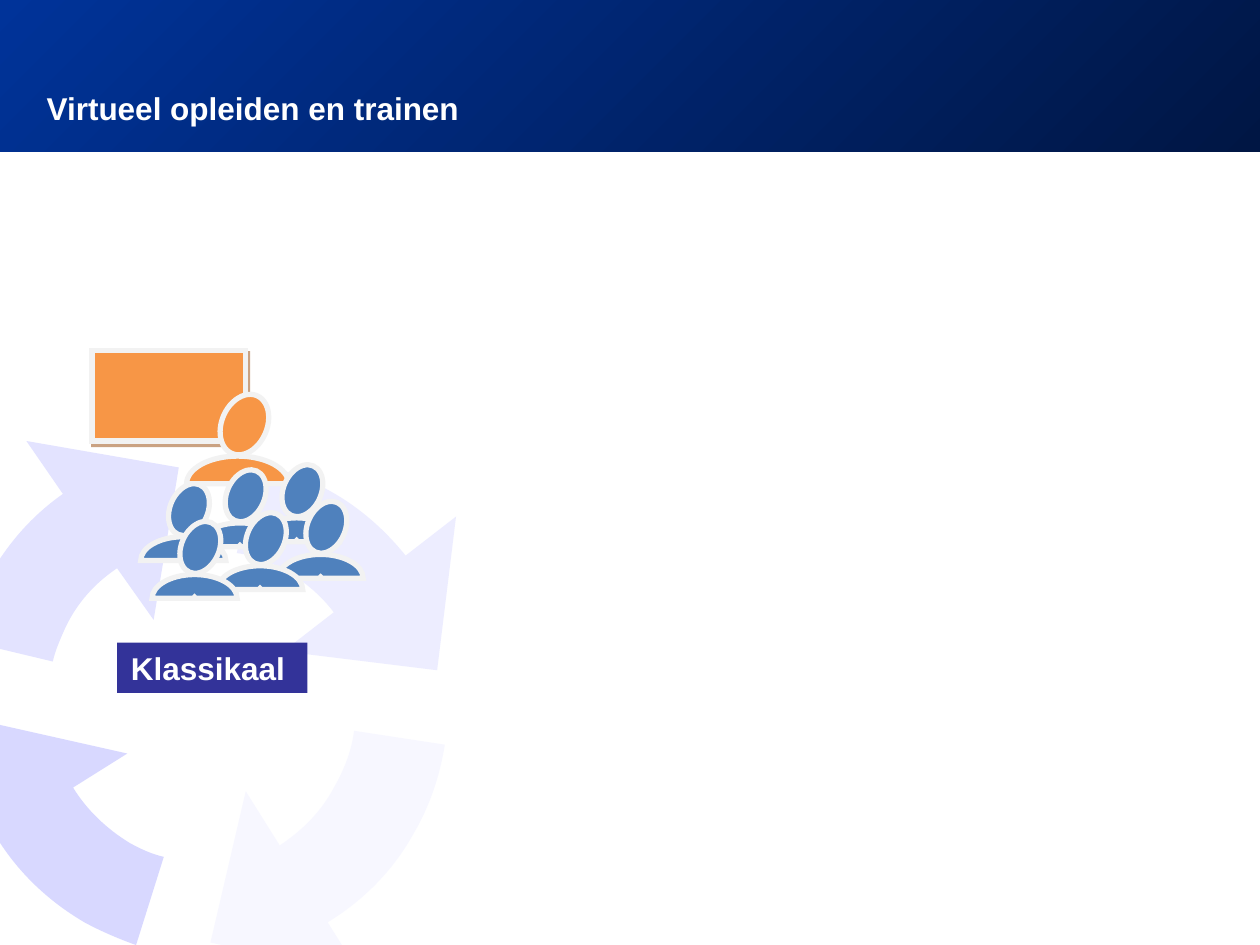
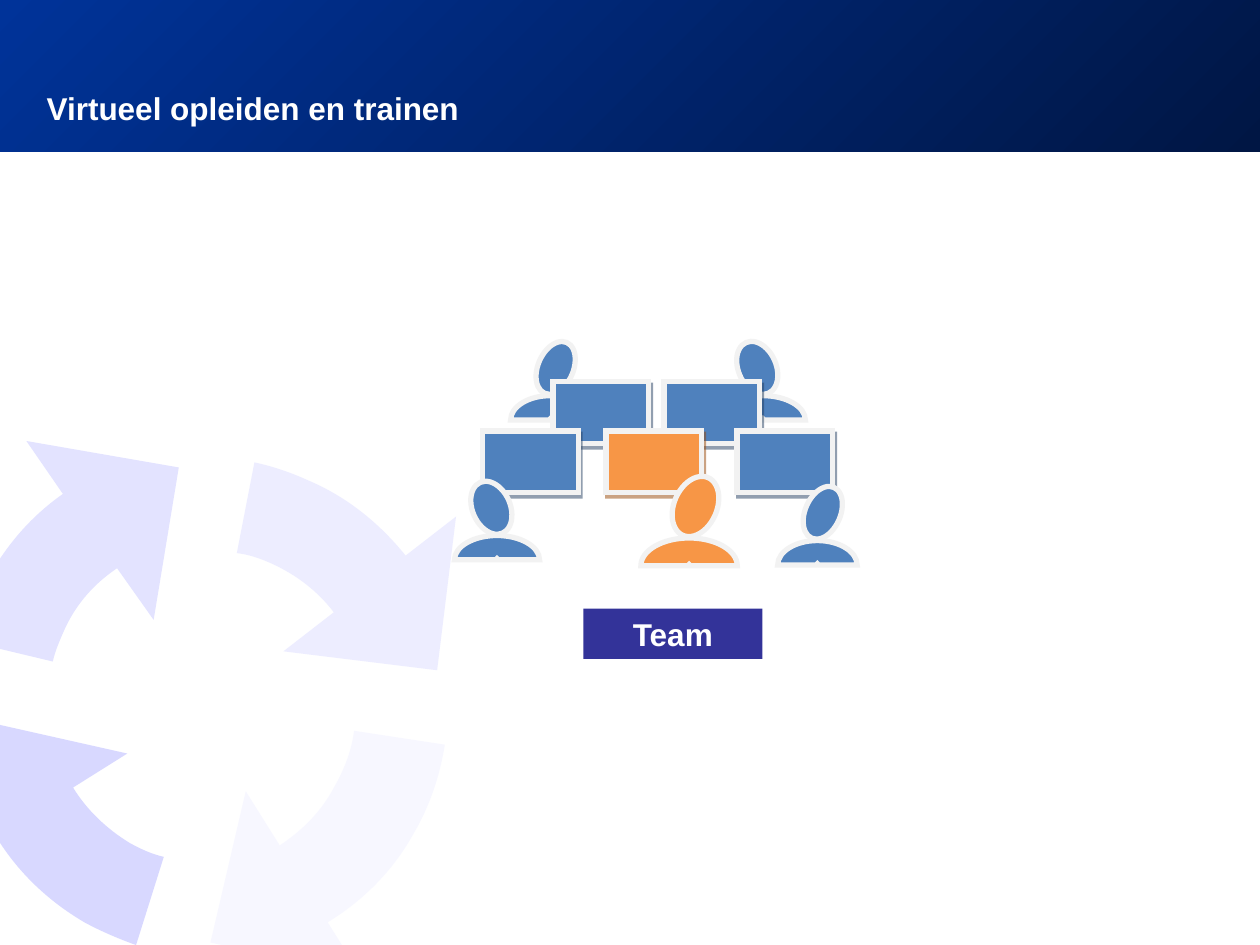
from math import cos, radians, sin

from lxml.etree import SubElement
from pptx import Presentation
from pptx.dml.color import RGBColor
from pptx.enum.shapes import MSO_SHAPE as SHAPE
from pptx.enum.text import MSO_ANCHOR as ANCHOR, MSO_AUTO_SIZE as AUTO_SIZE, PP_ALIGN as ALIGN
from pptx.oxml.ns import qn
from pptx.util import Inches, Pt

WHITE = RGBColor(0xFF, 0xFF, 0xFF)
BAND_LIGHT = RGBColor(0x00, 0x33, 0x99)
BAND_DARK = RGBColor(0x00, 0x16, 0x44)
LAVENDER = RGBColor(0xCC, 0xCC, 0xFF)
INDIGO = RGBColor(0x33, 0x33, 0x99)
ORANGE = RGBColor(0xF7, 0x96, 0x46)
BLUE = RGBColor(0x4F, 0x81, 0xBD)
OUTLINE = RGBColor(0xF2, 0xF2, 0xF2)
SHADOWS = {
    ORANGE: RGBColor(0x97, 0x47, 0x06),
    BLUE: RGBColor(0x24, 0x3F, 0x60),
}
FONT = "Arial"
TILT = 23.6
ROUND = 0.55

ARROWS = [
    (75, (-0.34, 3.54, 4.06, 4.05), 210,
     [(0.58, 6.25), (0.69, 6.43, 0.85, 6.58, 1.03, 6.69),
      (1.12, 6.74, 1.21, 6.78, 1.3, 6.8), (1.08, 7.5),
      (0.94, 7.45, 0.8, 7.39, 0.67, 7.32),
      (0.38, 7.15, 0.14, 6.92, -0.03, 6.64),
      (-0.46, 6.9), (-0.19, 5.71), (1.01, 5.98), (0.58, 6.25)]),
    (55, (-0.34, 3.54, 4.05, 4.06), 296.5,
     [(0.93, 4.51), (0.75, 4.63, 0.61, 4.79, 0.52, 4.98),
      (0.48, 5.07, 0.44, 5.16, 0.42, 5.25), (-0.29, 5.08),
      (-0.25, 4.93, -0.2, 4.79, -0.13, 4.66),
      (0.02, 4.36, 0.23, 4.11, 0.5, 3.92),
      (0.21, 3.5), (1.42, 3.71), (1.22, 4.92), (0.93, 4.51)]),
    (35, (-0.4, 3.64, 4.06, 4.05), 23.8,
     [(2.65, 4.86), (2.52, 4.69, 2.35, 4.56, 2.15, 4.47),
      (2.06, 4.43, 1.97, 4.4, 1.88, 4.39), (2.02, 3.67),
      (2.16, 3.7, 2.31, 3.75, 2.44, 3.81),
      (2.75, 3.94, 3.01, 4.15, 3.22, 4.41),
      (3.62, 4.1), (3.47, 5.32), (2.25, 5.17), (2.65, 4.86)]),
    (15, (-0.5, 3.58, 4.05, 4.06), 120,
     [(2.22, 6.71), (2.4, 6.59, 2.55, 6.44, 2.65, 6.25),
      (2.73, 6.11, 2.79, 5.96, 2.81, 5.8), (3.53, 5.91),
      (3.49, 6.16, 3.41, 6.4, 3.28, 6.62),
      (3.12, 6.91, 2.88, 7.15, 2.6, 7.32),
      (2.87, 7.75), (1.67, 7.48), (1.95, 6.28), (2.22, 6.71)]),
]

STUDENTS = [(2.25, 3.68), (1.8, 3.72), (1.35, 3.83),
            (2.44, 3.97), (1.96, 4.06), (1.44, 4.13)]
SCREENS = [(4.39, 3.03, BLUE), (5.27, 3.03, BLUE),
           (4.81, 3.42, ORANGE), (3.83, 3.42, BLUE)]
CLASSROOM = [
    ("screen", 0.73, 2.78, 1.22, 0.72, ORANGE),
    ("person", 1.76, 3.12, 0.36, 0.5, ORANGE),
    *[("person", left, top, 0.3, 0.43, BLUE) for left, top in STUDENTS],
]
TEAM = [
    ("person", 4.27, 2.7, 0.28, 0.44, BLUE),
    ("mirrored", 5.86, 2.7, 0.3, 0.44, BLUE),
    *[("screen", left, top, 0.76, 0.49, color) for left, top, color in SCREENS],
    ("person", 5.35, 3.77, 0.34, 0.5, ORANGE),
    ("mirrored", 3.75, 3.81, 0.3, 0.44, BLUE),
    ("screen", 5.85, 3.42, 0.76, 0.49, BLUE),
    ("person", 6.39, 3.85, 0.28, 0.44, BLUE),
]
SCENES = [
    (CLASSROOM, ("Klassikaal ", 0.93, 5.1, 1.51, False)),
    (TEAM, ("Team", 4.63, 4.83, 1.42, True)),
]


def add_outline(page, steps, frame, rotation=0):
    corners = [(Inches(step[-2]), Inches(step[-1])) for step in steps]
    builder = page.shapes.build_freeform(*corners[0])
    builder.add_line_segments(corners[1:], close=True)
    shape = builder.convert_to_shape()
    shape.shadow.inherit = False
    shape.left, shape.top, shape.width, shape.height = map(Inches, frame)
    shape.rotation = rotation
    left, top, width, height = frame
    turn = radians(rotation)
    outline = next(shape.element.iter(qn("a:path")))
    outline.set("w", str(Inches(width)))
    outline.set("h", str(Inches(height)))
    for segment, step in zip(list(outline), steps):
        if len(step) == 6:
            segment.tag = qn("a:cubicBezTo")
        for point in list(segment):
            segment.remove(point)
        for x, y in zip(step[::2], step[1::2]):
            across, down = x - left - width / 2, y - top - height / 2
            local_x = width / 2 + across * cos(turn) + down * sin(turn)
            local_y = height / 2 - across * sin(turn) + down * cos(turn)
            SubElement(segment, qn("a:pt"), x=str(Inches(local_x)), y=str(Inches(local_y)))
    return shape


deck = Presentation()
deck.slide_width = Inches(10)
deck.slide_height = Inches(7.5)
layout = deck.slide_layouts[5]
pages = [deck.slides.add_slide(layout) for _ in SCENES]

band = pages[0].shapes.add_shape(SHAPE.RECTANGLE, 0, 0, Inches(10), Inches(1.2))
band.shadow.inherit = False
band.fill.gradient()
band.fill.gradient_angle = 315
for stop, color in zip(band.fill.gradient_stops, (BAND_LIGHT, BAND_DARK)):
    stop.color.rgb = color
band.line.fill.background()
backdrop = [band]

for opacity, frame, rotation, steps in ARROWS:
    arrow = add_outline(pages[0], steps, frame, rotation)
    arrow.fill.solid()
    arrow.fill.fore_color.rgb = LAVENDER
    arrow.line.fill.background()
    tint = arrow.element.spPr.find(qn("a:solidFill")).find(qn("a:srgbClr"))
    SubElement(tint, qn("a:alpha")).set("val", str(opacity * 1000))
    backdrop.append(arrow)

for position, shape in enumerate(backdrop, start=2):
    deck.slide_master.shapes.element.insert(position, shape.element)

for page, (figures, (text, label_left, label_top, label_width, wraps)) in zip(pages, SCENES):
    title = page.shapes.title
    title.left, title.top = Inches(0.27), Inches(0.36)
    title.width, title.height = Inches(7.16), Inches(0.71)
    title.text_frame.text = "Virtueel opleiden en trainen"
    title.text_frame.vertical_anchor = ANCHOR.TOP
    title.text_frame.auto_size = AUTO_SIZE.NONE
    title.text_frame.paragraphs[0].line_spacing = 2.0
    title.text_frame.paragraphs[0].alignment = ALIGN.LEFT

    for kind, left, top, width, height, color in figures:
        preset = SHAPE.RECTANGLE if kind == "screen" else SHAPE.OVAL
        figure = page.shapes.add_shape(
            preset, Inches(left), Inches(top), Inches(width), Inches(height))
        figure.shadow.inherit = False
        parts = [figure]
        if kind == "screen":
            effects = figure.element.spPr.find(qn("a:effectLst"))
            shadow = SubElement(effects, qn("a:outerShdw"), blurRad="0", dist=str(Pt(2.2)),
                                dir=str(63 * 60000), algn="ctr", rotWithShape="0")
            shade = SubElement(shadow, qn("a:srgbClr"), val=str(SHADOWS[color]))
            SubElement(shade, qn("a:alpha"), val="50000")
        else:
            mirrored = kind == "mirrored"
            figure.rotation = -TILT if mirrored else TILT
            radius = 1.125 * width
            center = left + width * (0.65 if mirrored else 0.35)
            rise = 0.44 * height
            crown = top + height
            base = crown + rise
            bend = base - ROUND * rise
            dome = [
                (center - 0.01, base),
                (center - 0.01, base, center - 0.01, base - 0.01, center, base - 0.01),
                (center + 0.01, base - 0.01, center + 0.01, base, center + 0.01, base),
                (center + radius, base),
                (center + radius, bend, center + ROUND * radius, crown, center, crown),
                (center - ROUND * radius, crown, center - radius, bend, center - radius, base),
            ]
            parts.append(add_outline(page, dome, (center - radius, crown, 2 * radius, 2 * rise)))
        for part in parts:
            part.fill.solid()
            part.fill.fore_color.rgb = color
            part.line.color.rgb = OUTLINE
            part.line.width = Pt(3)
            SubElement(part.element.spPr.find(qn("a:ln")), qn("a:miter"), lim="800000")

    label = page.shapes.add_shape(
        SHAPE.RECTANGLE, Inches(label_left), Inches(label_top), Inches(label_width), Inches(0.4))
    label.shadow.inherit = False
    label.fill.solid()
    label.fill.fore_color.rgb = INDIGO
    label.line.fill.background()
    label.text_frame.text = text
    label.text_frame.word_wrap = wraps
    label.text_frame.paragraphs[0].alignment = ALIGN.CENTER

    for box in (title, label):
        font = box.text_frame.paragraphs[0].runs[0].font
        font.name = FONT
        font.size = Pt(18)
        font.bold = True
        font.color.rgb = WHITE

deck.save("out.pptx")
